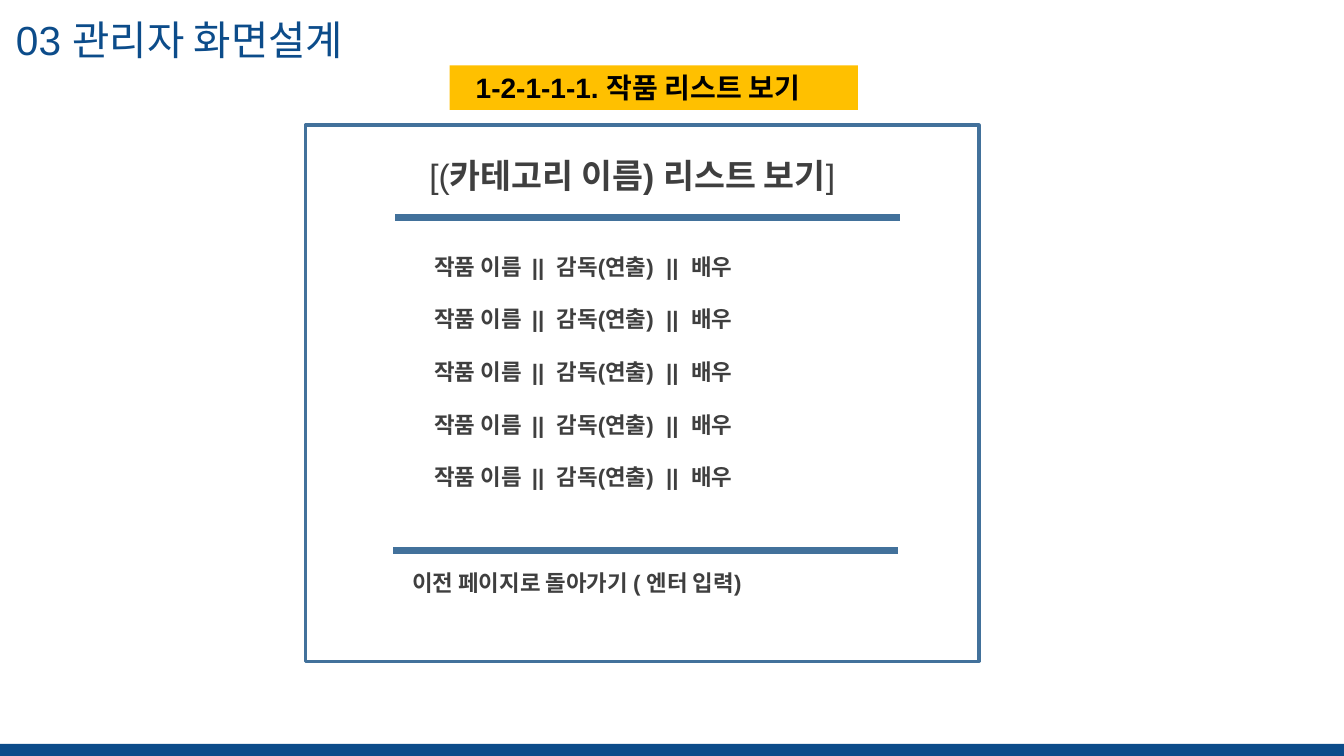
from dataclasses import dataclass

from lxml import etree
from pptx import Presentation
from pptx.dml.color import RGBColor
from pptx.enum.shapes import MSO_CONNECTOR, MSO_SHAPE
from pptx.oxml.ns import qn
from pptx.slide import Slide
from pptx.util import Inches, Pt

RECTANGLE = MSO_SHAPE.RECTANGLE
STRAIGHT = MSO_CONNECTOR.STRAIGHT
FONT = "Arial"
COLORS = {
    "navy": "0C4C8A",
    "amber": "FFC000",
    "steel": "42719B",
    "gray": "3F3F3F",
    "black": "000000",
}
WORK_ROW = "작품 이름  ||  감독(연출)  ||  배우"
WORK_COUNT = 5


@dataclass
class Box:
    left: float
    top: float
    width: float
    height: float
    fill: str | None = None
    outline: str | None = None


@dataclass
class Label:
    left: float
    top: float
    width: float
    height: float
    lines: list[list[tuple[str, bool]]]
    size: float
    color: str
    gap: float = 0


@dataclass
class Divider:
    left: float
    top: float
    width: float


def color_of(name: str) -> RGBColor:
    return RGBColor.from_string(COLORS[name])


def draw_box(slide: Slide, box: Box) -> None:
    shape = slide.shapes.add_shape(
        RECTANGLE, Inches(box.left), Inches(box.top), Inches(box.width), Inches(box.height)
    )
    shape.shadow.inherit = False
    if box.fill:
        shape.fill.solid()
        shape.fill.fore_color.rgb = color_of(box.fill)
    else:
        shape.fill.background()
    if box.outline:
        shape.line.color.rgb = color_of(box.outline)
        shape.line.width = Pt(2.25)
    else:
        shape.line.fill.background()


def draw_label(slide: Slide, label: Label) -> None:
    text_box = slide.shapes.add_textbox(
        Inches(label.left), Inches(label.top), Inches(label.width), Inches(label.height)
    )
    frame = text_box.text_frame
    frame.word_wrap = True
    for index, line in enumerate(label.lines):
        paragraph = frame.add_paragraph() if index else frame.paragraphs[0]
        paragraph.font.name = FONT
        paragraph.font.size = Pt(label.size)
        paragraph.font.color.rgb = color_of(label.color)
        paragraph.space_after = Pt(label.gap)
        for text, bold in line:
            run = paragraph.add_run()
            run.text = text
            run.font.bold = bold


def draw_divider(slide: Slide, divider: Divider) -> None:
    connector = slide.shapes.add_connector(
        STRAIGHT,
        Inches(divider.left),
        Inches(divider.top),
        Inches(divider.left + divider.width),
        Inches(divider.top),
    )
    connector.line.color.rgb = color_of("steel")
    connector.line.width = Pt(5)
    etree.SubElement(connector.element.spPr, qn("a:effectLst"))


BOXES = [
    Box(0, 7.38, 13.33, 0.12, fill="navy"),
    Box(4.46, 0.65, 4.05, 0.44, fill="amber"),
    Box(3.03, 1.24, 6.68, 5.32, outline="steel"),
]
DIVIDERS = [Divider(3.92, 2.16, 5.01), Divider(3.9, 5.46, 5.01)]
LABELS = [
    Label(0.06, 0.1, 4.31, 0.59, [[("03 관리자 화면설계", False)]], 29, "navy"),
    Label(4.62, 0.65, 3.76, 0.44, [[("1-2-1-1-1. 작품 리스트 보기", True)]], 20, "black"),
    Label(
        4.16, 1.49, 4.71, 0.5,
        [[("[(", False), ("카테고리 이름) 리스트 보기", True), ("]", False)]],
        24, "gray",
    ),
    Label(4.21, 2.46, 4.01, 3.6, [[(WORK_ROW, True)]] * WORK_COUNT, 16, "gray", gap=18.4),
    Label(3.99, 5.6, 4.69, 0.37, [[("이전 페이지로 돌아가기 ( 엔터 입력)", True)]], 16, "gray"),
]


def main() -> None:
    presentation = Presentation()
    presentation.slide_width = Inches(13.33)
    presentation.slide_height = Inches(7.5)
    slide = presentation.slides.add_slide(presentation.slide_layouts[6])
    for box in BOXES:
        draw_box(slide, box)
    for divider in DIVIDERS:
        draw_divider(slide, divider)
    for label in LABELS:
        draw_label(slide, label)
    presentation.save("out.pptx")


main()
